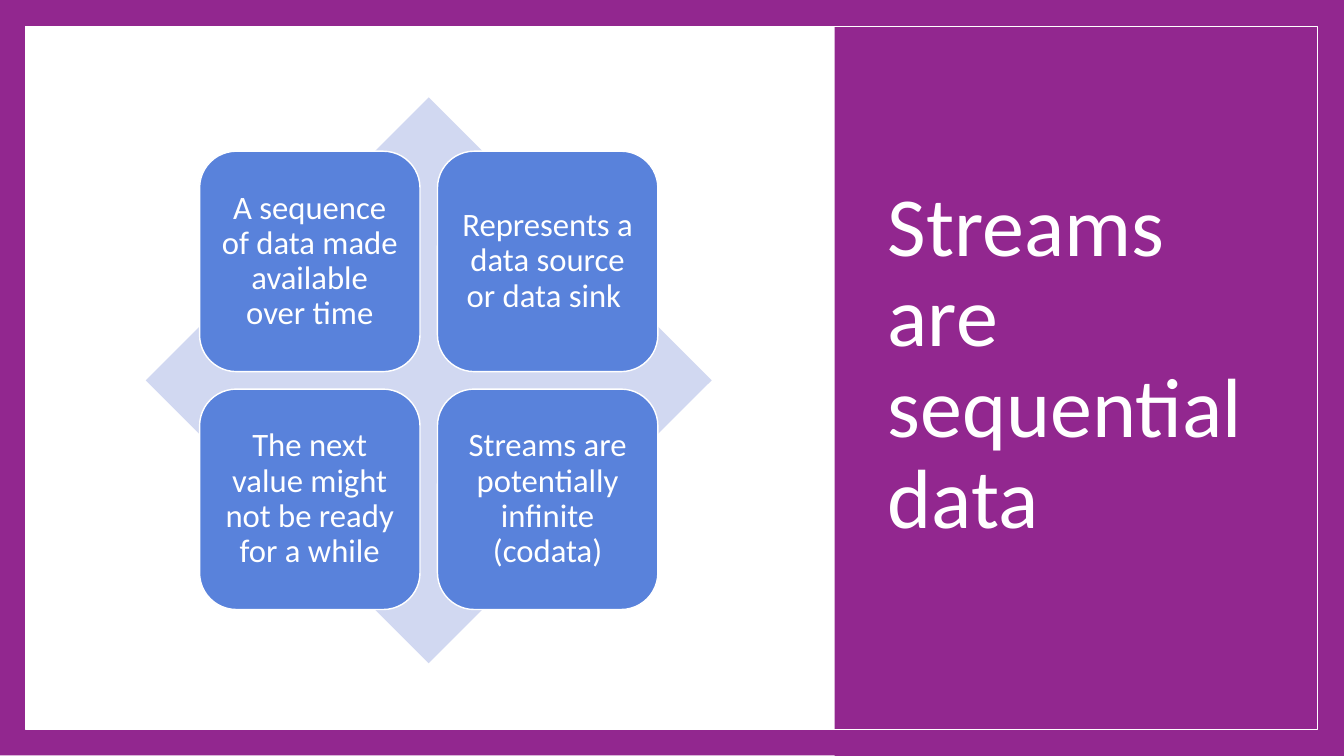
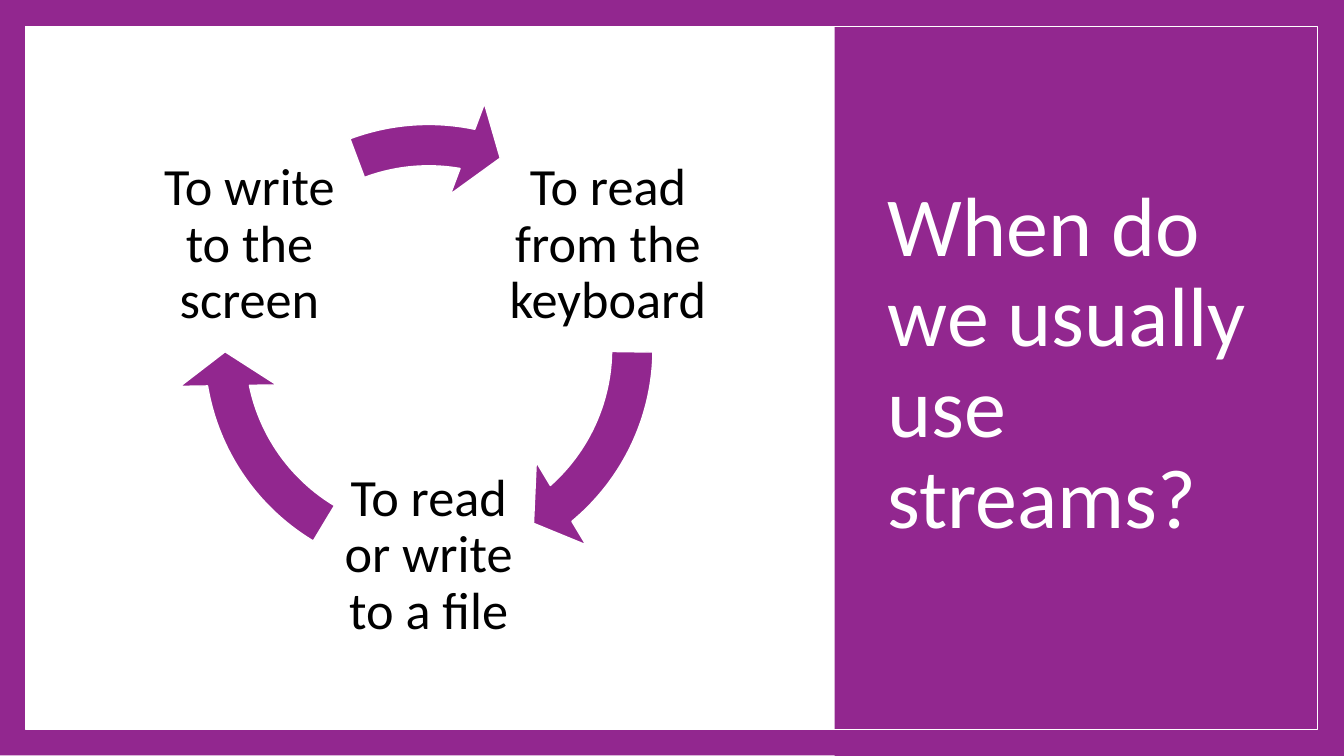
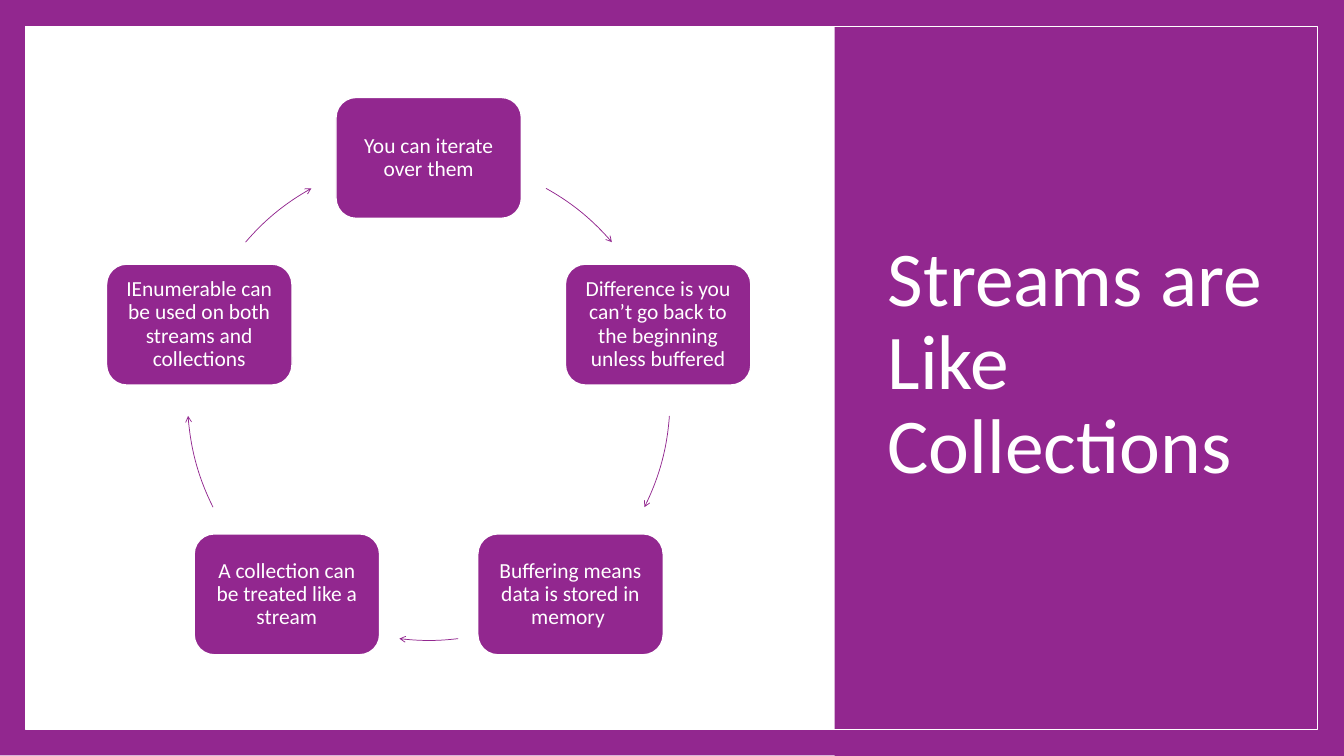
from dataclasses import dataclass
from math import cos, radians, sin, tan

from lxml.etree import SubElement
from pptx import Presentation
from pptx.dml.color import RGBColor
from pptx.enum.shapes import MSO_SHAPE
from pptx.enum.text import MSO_ANCHOR, MSO_AUTO_SIZE, PP_ALIGN
from pptx.oxml.ns import qn
from pptx.util import Emu, Inches, Pt

# Grid: 20 columns by 11.25 rows of square cells
COLS, ROWS = 20, 11.25
CELL = Inches(1)

PURPLE = RGBColor(0x92, 0x27, 0x8F)
BLUE = RGBColor(0x59, 0x82, 0xDB)
PALE_BLUE = RGBColor(0xD1, 0xD8, 0xF1)
WHITE = RGBColor(0xFF, 0xFF, 0xFF)
BLACK = RGBColor(0, 0, 0)
FONT = "Calibri"

MIDDLE_X = 6.38  # centre column of every diagram


@dataclass(frozen=True)
class Box:
    x: float
    y: float
    w: float
    h: float


@dataclass(frozen=True)
class Ring:
    x: float
    y: float
    radius: float

    def point(self, degrees: float, handle: float = 0) -> tuple[float, float]:
        """Point on the ring, moved along the tangent by a share of the radius."""
        a = radians(degrees)
        return (self.x + self.radius * (cos(a) - handle * sin(a)),
                self.y + self.radius * (sin(a) + handle * cos(a)))


BORDER = Box(0, -0.01, COLS, ROWS)
PANEL = Box(0.38, 0.39, 19.23, 10.46)
FRAME = Box(0.38, 0.4, 19.23, 10.46)
SIDE = Box(12.42, 0, 7.58, ROWS)
TITLE = Box(13.11, 1, 5.86, 8.86)


def grid(value: float) -> Emu:
    return Emu(round(value * CELL))


def around(x: float, y: float, w: float, h: float) -> Box:
    """Box of the given size centred on a point."""
    return Box(x - w / 2, y - h / 2, w, h)


def place(box: Box) -> tuple[Emu, ...]:
    return tuple(grid(v) for v in (box.x, box.y, box.w, box.h))


def style_line(sp, color: RGBColor | None, width: float) -> None:
    if color is None:
        sp.line.fill.background()
    else:
        sp.line.color.rgb = color
        sp.line.width = Pt(width)


def add_shape(slide, kind, box: Box, fill: RGBColor | None = None,
              line: RGBColor | None = None, width: float = 1.5):
    sp = slide.shapes.add_shape(kind, *place(box))
    sp.shadow.inherit = False
    if fill is None:
        sp.fill.background()
    else:
        sp.fill.solid()
        sp.fill.fore_color.rgb = fill
    style_line(sp, line, width)
    return sp


def set_text(sp, text: str, *, size: float, color: RGBColor = WHITE,
             align=PP_ALIGN.CENTER, inset: float = 0.1) -> None:
    tf = sp.text_frame
    tf.word_wrap = True
    tf.auto_size = MSO_AUTO_SIZE.NONE
    tf.vertical_anchor = MSO_ANCHOR.MIDDLE
    tf.margin_left = tf.margin_right = tf.margin_top = tf.margin_bottom = grid(inset)
    p = tf.paragraphs[0]
    p.alignment = align
    p.line_spacing = 0.9
    r = p.add_run()
    r.text = text
    r.font.name = FONT
    r.font.size = Pt(size)
    r.font.color.rgb = color


def add_titled_slide(prs, title: str, size: float = 90):
    """Slide with the purple border, white panel, side band and title."""
    slide = prs.slides.add_slide(prs.slide_layouts[5])
    add_shape(slide, MSO_SHAPE.RECTANGLE, BORDER, PURPLE)
    add_shape(slide, MSO_SHAPE.RECTANGLE, PANEL, WHITE)
    band = add_shape(slide, MSO_SHAPE.RECTANGLE, SIDE, PURPLE)
    sp = slide.shapes.title
    sp.left, sp.top, sp.width, sp.height = place(TITLE)
    set_text(sp, title, size=size, align=PP_ALIGN.LEFT)
    sp.text_frame.margin_top = sp.text_frame.margin_bottom = grid(0.05)
    band.element.addnext(sp.element)
    add_shape(slide, MSO_SHAPE.RECTANGLE, FRAME, line=WHITE, width=1)
    return slide


def add_arc_arrow(slide, ring: Ring, start: float, end: float) -> None:
    """Curved arrow whose frame is the whole ring."""
    handle = 4 / 3 * tan(radians(end - start) / 4)
    ends = (ring.point(start), ring.point(start, handle),
            ring.point(end, -handle), ring.point(end))
    points = [(grid(x), grid(y)) for x, y in ends]
    builder = slide.shapes.build_freeform(*points[0])
    builder.add_line_segments(points[1:], close=False)
    sp = builder.convert_to_shape()
    sp.shadow.inherit = False
    sp.fill.background()
    style_line(sp, PURPLE, 0.79)
    SubElement(sp.get_or_add_ln(), qn("a:tailEnd"), type="arrow")

    # Widen the frame to the ring and turn the three segments into one curve
    side = 2 * ring.radius
    sp.left, sp.top, sp.width, sp.height = place(around(ring.x, ring.y, side, side))
    outline = sp.element.find(f".//{qn('a:path')}")
    outline.set("w", str(sp.width))
    outline.set("h", str(sp.height))
    curve = SubElement(outline, qn("a:cubicBezTo"))
    for segment in outline.findall(qn("a:lnTo")):
        curve.append(segment[0])
        outline.remove(segment)
    for pt, (x, y) in zip(outline.iter(qn("a:pt")), points):
        pt.set("x", str(x - sp.left))
        pt.set("y", str(y - sp.top))


# Slide 1: four cards on a diamond
def build_definition(prs) -> None:
    slide = add_titled_slide(prs, "Streams are sequential data")
    middle_y, side, offset = 5.66, 3.28, 1.77
    add_shape(slide, MSO_SHAPE.DIAMOND, around(MIDDLE_X, middle_y, 8.42, 8.42), PALE_BLUE)
    cards = ("A sequence of data made available over time",
             "Represents a data source or data sink ",
             "The next value might not be ready for a while",
             "Streams are potentially infinite (codata)")
    for i, text in enumerate(cards):
        row, col = divmod(i, 2)
        box = around(MIDDLE_X + (2 * col - 1) * offset,
                     middle_y + (2 * row - 1) * offset, side, side)
        card = add_shape(slide, MSO_SHAPE.ROUNDED_RECTANGLE, box, BLUE, WHITE)
        set_text(card, text, size=35, inset=0.15)


# Slide 2: three uses joined by block arrows
def build_uses(prs) -> None:
    slide = add_titled_slide(prs, "When do we usually use streams?")
    ring = Ring(MIDDLE_X, 5.19, 3.08)
    degree = 0.6  # one degree in adjustment units
    # text, then the angles where the following arrow starts and ends
    uses = (("To read from the keyboard", 0.85, 49.42),
            ("To read or write to a file", 120.98, 169.56),
            ("To write to the screen", 249.44, 280.97))
    for i, (text, start, end) in enumerate(uses):
        label = slide.shapes.add_textbox(
            *place(around(*ring.point(-30 + 120 * i), 3.17, 3.17)))
        set_text(label, text, size=56, color=BLACK, inset=0.08)
        arrow = add_shape(slide, MSO_SHAPE.CIRCULAR_ARROW,
                          around(ring.x, ring.y, 7.5, 7.5), PURPLE, WHITE)
        values = (0.082, 9.6 * degree, end * degree, start * degree, 0.096)
        for k, value in enumerate(values):
            arrow.adjustments[k] = value


# Slide 3: five cards on a ring of thin arrows
def build_comparison(prs) -> None:
    slide = add_titled_slide(prs, "Streams are Like Collections", size=83)
    ring = Ring(MIDDLE_X, 5.94, 3.59)
    cards = (("You can iterate over them", -60.9, -40.6),
             ("Difference is you can’t go back to the beginning unless buffered", 4, 26.6),
             ("Buffering means data is stored in memory ", 83, 97),
             ("A collection can be treated like a stream", 153.4, 176),
             ("IEnumerable can be used on both streams and collections", 220.6, 240.9))
    for i, (text, start, end) in enumerate(cards):
        box = around(*ring.point(-90 + 72 * i), 2.76, 1.8)
        card = add_shape(slide, MSO_SHAPE.ROUNDED_RECTANGLE, box, PURPLE, WHITE)
        set_text(card, text, size=23)
        add_arc_arrow(slide, ring, start, end)


def main() -> None:
    prs = Presentation()
    prs.slide_width, prs.slide_height = grid(COLS), grid(ROWS)
    build_definition(prs)
    build_uses(prs)
    build_comparison(prs)
    prs.save("out.pptx")


if __name__ == "__main__":
    main()
